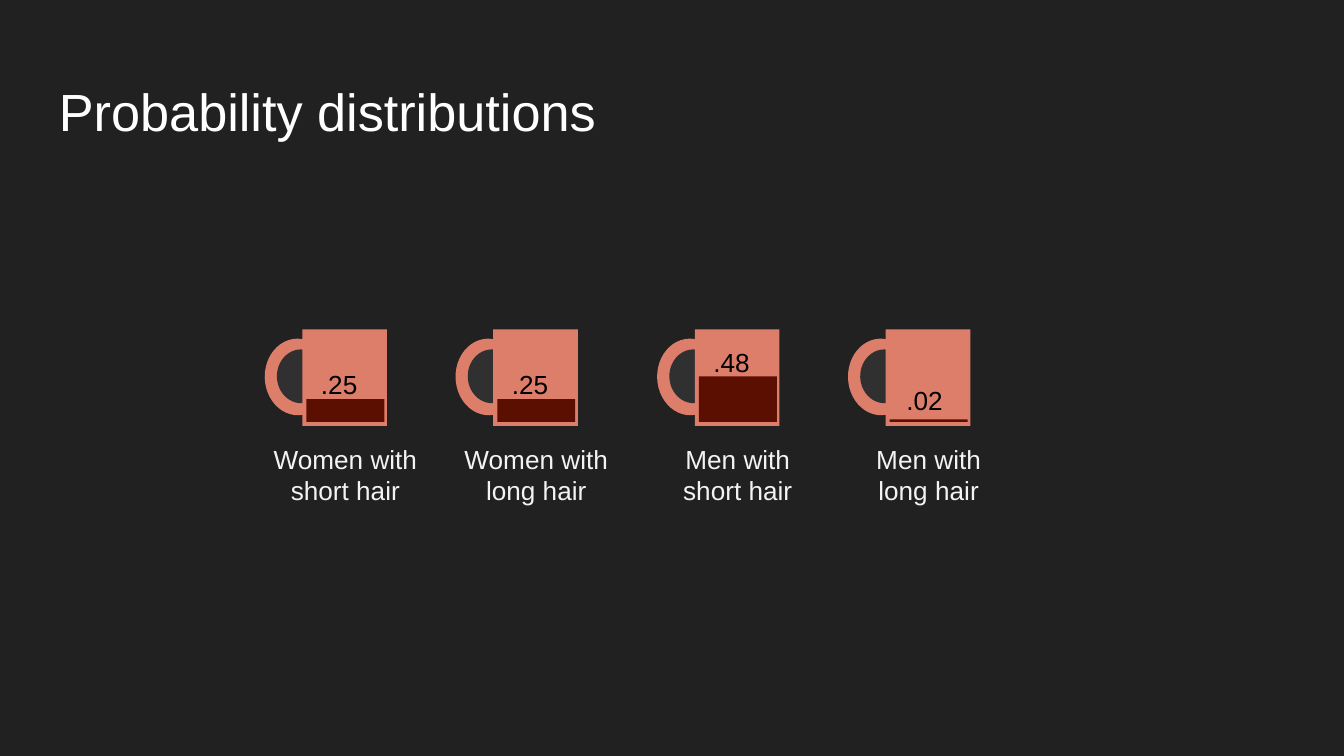
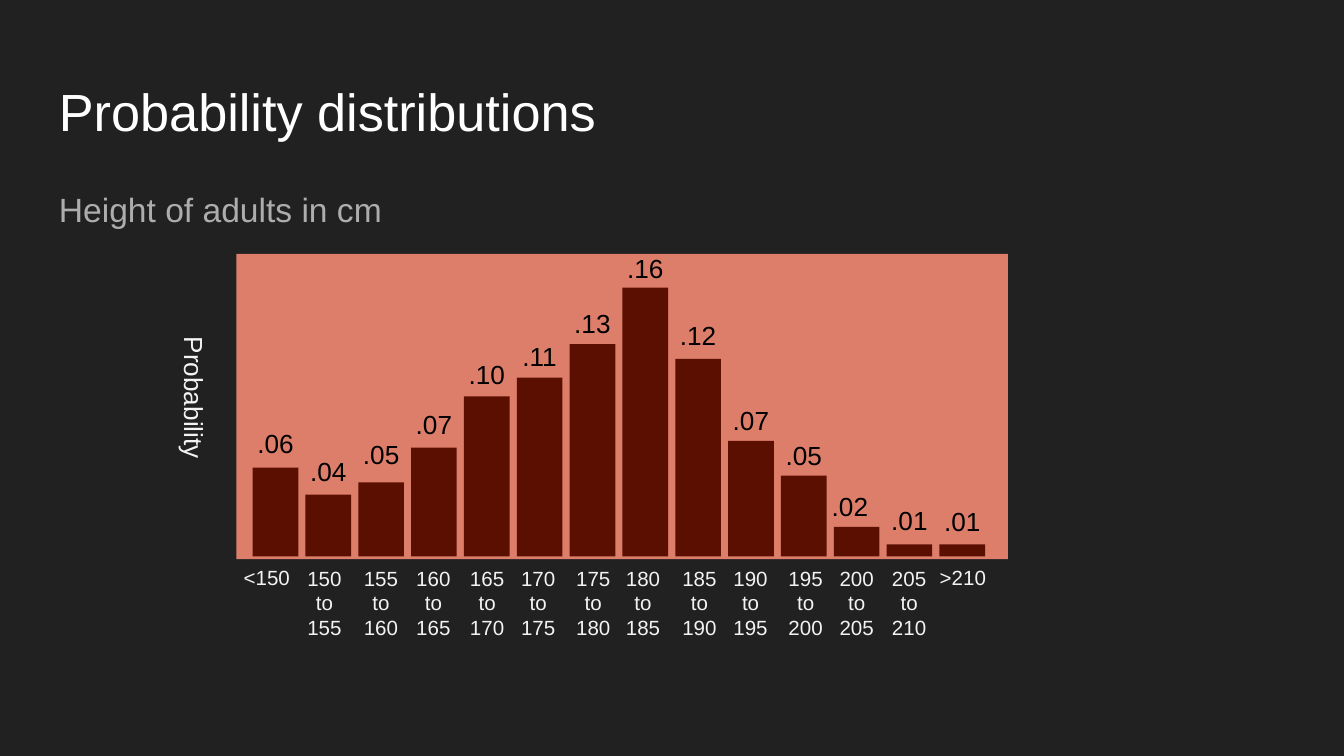
from pptx import Presentation
from pptx.dml.color import RGBColor
from pptx.enum.shapes import MSO_SHAPE
from pptx.enum.text import MSO_ANCHOR, PP_ALIGN
from pptx.util import Inches, Pt

FONT = "Arial"
DARK, HOLE = "212121", "303030"
CLAY, WINE = "DD7E6B", "5B0F00"
BLACK, WHITE, PALE, GREY = "000000", "FFFFFF", "F3F3F3", "ADADAD"

WIDTH = 10
HEIGHT = WIDTH * 9 / 16

TITLE = "Probability distributions"
TOPIC = "Height of adults in cm"
AXIS = "Probability"

# label, label width, probability, mug left, coffee depth, gap above coffee
MUGS = [
    ("Women with short hair", 1.29, ".25", 2.25, 0.17, 0.33),
    ("Women with long hair", 1.29, ".25", 3.67, 0.17, 0.33),
    ("Men with short hair", 1.06, ".48", 5.17, 0.34, 0.32),
    ("Men with long hair", 1.06, ".02", 6.59, 0.02, 0.36),
]

# range, probability, bar height, gap above bar, label centre
BARS = [
    ("<150", ".06", 0.66, 0.40, 1.98),
    ("150 to 155", ".04", 0.46, 0.39, 2.41),
    ("155 to 160", ".05", 0.55, 0.43, 2.83),
    ("160 to 165", ".07", 0.81, 0.39, 3.22),
    ("165 to 170", ".10", 1.19, 0.38, 3.62),
    ("170 to 175", ".11", 1.33, 0.38, 4.00),
    ("175 to 180", ".13", 1.58, 0.37, 4.41),
    ("180 to 185", ".16", 2.00, 0.36, 4.78),
    ("185 to 190", ".12", 1.47, 0.39, 5.20),
    ("190 to 195", ".07", 0.86, 0.37, 5.58),
    ("195 to 200", ".05", 0.60, 0.37, 5.99),
    ("200 to 205", ".02", 0.22, 0.37, 6.37),
    ("205 to 210", ".01", 0.09, 0.40, 6.76),
    (">210", ".01", 0.09, 0.39, 7.16),
]
NUDGE = {".02": -0.05}

FLOOR = 4.14
BAR_W = 0.34
FIRST, LAST = 1.88, 6.99
STEP = (LAST - FIRST) / (len(BARS) - 1)


def color(code):
    return RGBColor.from_string(code)


def text(slide, words, x, y, w, h, size=14, ink=PALE, align=PP_ALIGN.CENTER,
         line=None, after=0, turn=0):
    """Add a text box; each line of words becomes a paragraph."""
    box = slide.shapes.add_textbox(Inches(x), Inches(y), Inches(w), Inches(h))
    box.rotation = turn
    frame = box.text_frame
    frame.word_wrap = True
    frame.vertical_anchor = MSO_ANCHOR.TOP
    frame.margin_left = frame.margin_right = Inches(0.1)
    frame.margin_top = frame.margin_bottom = Inches(0.1)
    frame.text = words
    for para in frame.paragraphs:
        para.alignment = align
        para.space_after = Pt(after)
        if line:
            para.line_spacing = line
        para.font.name = FONT
        para.font.size = Pt(size)
        para.font.color.rgb = color(ink)


def shape(owner, kind, x, y, w, h, fill, turn=0):
    item = owner.shapes.add_shape(kind, Inches(x), Inches(y), Inches(w), Inches(h))
    item.shadow.inherit = False
    item.fill.solid()
    item.fill.fore_color.rgb = color(fill)
    item.line.fill.background()
    item.rotation = turn


def start(deck):
    """Add a dark slide with the shared title."""
    slide = deck.slides.add_slide(deck.slide_layouts[6])
    slide.background.fill.solid()
    slide.background.fill.fore_color.rgb = color(DARK)
    text(slide, TITLE, 0.34, 0.49, 9.32, 0.63, size=28, ink=WHITE,
         align=PP_ALIGN.LEFT)
    return slide


def mug(slide, x):
    group = slide.shapes.add_group_shape()
    shape(group, MSO_SHAPE.OVAL, x - 0.28, 2.52, 0.49, 0.57, CLAY, turn=178.7)
    shape(group, MSO_SHAPE.OVAL, x - 0.19, 2.6, 0.36, 0.4, HOLE, turn=178.7)
    shape(group, MSO_SHAPE.RECTANGLE, x, 2.45, 0.63, 0.72, CLAY)


def mugs(deck):
    slide = start(deck)
    for label, width, value, x, depth, gap in MUGS:
        top = FLOOR - 1 - depth
        mug(slide, x)
        shape(slide, MSO_SHAPE.RECTANGLE, x + 0.03, top, 0.58, depth, WINE)
        text(slide, value, x + 0.04, top - gap, 0.5, 0.38, ink=BLACK,
             align=PP_ALIGN.CENTER if value in NUDGE else PP_ALIGN.LEFT)
        text(slide, label, x + 0.32 - width / 2, 3.2, width, 0.64)


def bars(deck):
    slide = start(deck)
    text(slide, TOPIC, 0.34, 1.26, 9.32, 0.63, size=18, ink=GREY,
         align=PP_ALIGN.LEFT, line=1.15, after=16)
    text(slide, AXIS, 0.64, 2.7, 1.53, 0.52, turn=90)
    shape(slide, MSO_SHAPE.RECTANGLE, 1.76, 1.89, 5.74, 2.27, CLAY)
    for i, (label, value, high, gap, mid) in enumerate(BARS):
        x, top = FIRST + i * STEP, FLOOR - high
        shape(slide, MSO_SHAPE.RECTANGLE, x, top, BAR_W, high, WINE)
        text(slide, value, x - 0.08 + NUDGE.get(value, 0), top - gap, 0.5, 0.38,
             ink=BLACK)
        text(slide, "\n".join(label.split()), mid - 0.33, 4.11, 0.67, 0.52,
             size=11)


def main():
    deck = Presentation()
    deck.slide_width, deck.slide_height = Inches(WIDTH), Inches(HEIGHT)
    mugs(deck)
    bars(deck)
    deck.save("out.pptx")


if __name__ == "__main__":
    main()
